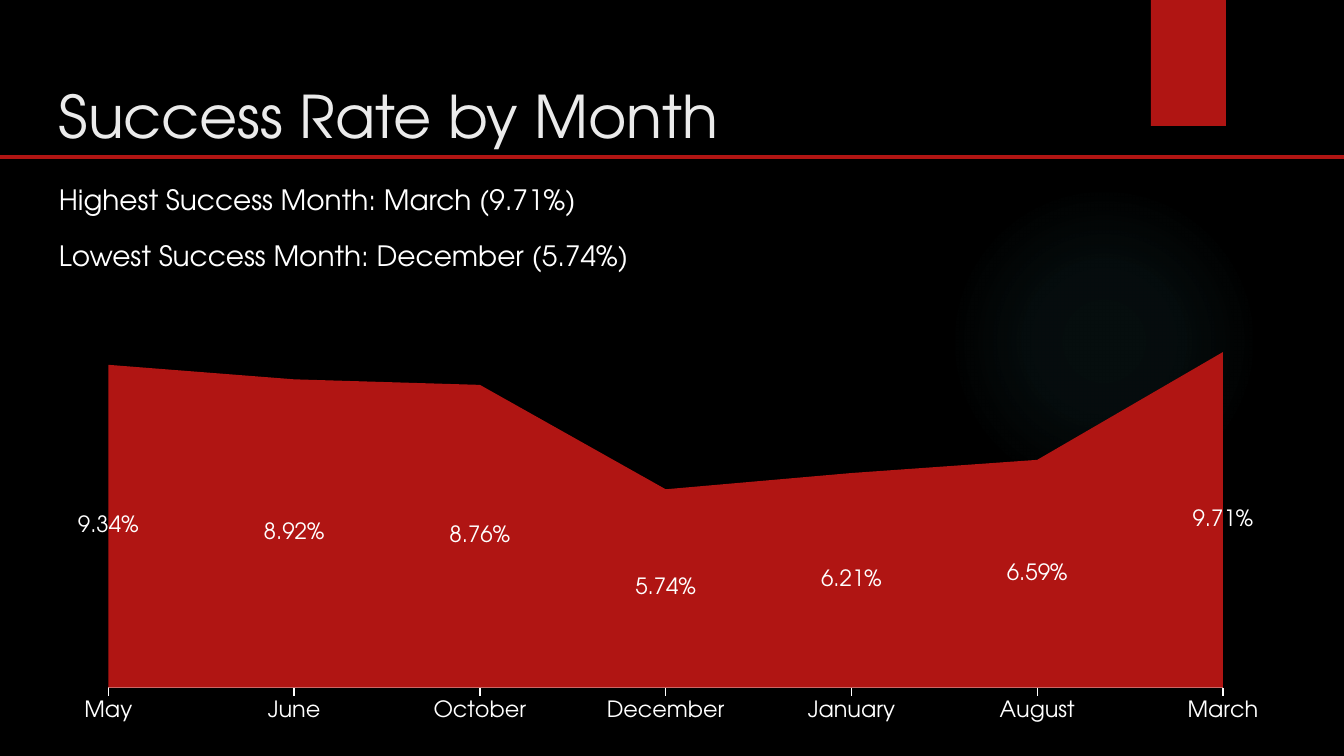
from dataclasses import dataclass

import pptx
import pptx.chart.data
import pptx.dml.color
import pptx.enum.chart
import pptx.enum.shapes
import pptx.enum.text
import pptx.oxml
import pptx.oxml.ns
import pptx.util

Pt = pptx.util.Pt
RGB = pptx.dml.color.RGBColor


@dataclass(frozen=True)
class Theme:
    font: str = "TeX Gyre Adventor"
    background: RGB = RGB(0x00, 0x00, 0x00)
    accent: RGB = RGB(0xB0, 0x15, 0x13)
    glow: RGB = RGB(0x50, 0xB9, 0xC1)
    title: RGB = RGB(0xEB, 0xEB, 0xEB)
    text: RGB = RGB(0xFF, 0xFF, 0xFF)
    title_size: float = 31.5
    body_size: float = 15
    label_size: float = 12
    chart_size: float = 10


@dataclass(frozen=True)
class Box:
    left: float
    top: float
    width: float
    height: float

    def lengths(self) -> tuple:
        return Pt(self.left), Pt(self.top), Pt(self.width), Pt(self.height)


@dataclass(frozen=True)
class MonthRate:
    month: str
    rate: float

    def __str__(self) -> str:
        return f"{self.month} ({self.rate:.2%})"


THEME = Theme()
SLIDE_WIDTH, SLIDE_HEIGHT = 720, 405
MARGIN = 24.5
CONTENT_WIDTH = SLIDE_WIDTH - 2 * MARGIN
TEXT_INSET = 7.2
RULE_TOP = 84.2
GLOW = Box(508.3, 99.4, 166.3, 166.3)
RIBBON = Box(616.5, 0, 40.3, 67.5)
TITLE = Box(MARGIN, 35.3, CONTENT_WIDTH, 45.4)
SUMMARY = Box(MARGIN, 90.7, 341.3, 72.7)
CHART = Box(MARGIN, 146.2, CONTENT_WIDTH, 247)
PLOT_SHARE = {"x": 0.05, "y": 0, "w": 0.89, "h": 0.9}
GLOW_STOPS = ((0, 7), (36, 6), (69, 0))  # position and opacity, in percent
RATES = (
    MonthRate("May", 0.0934),
    MonthRate("June", 0.0892),
    MonthRate("October", 0.0876),
    MonthRate("December", 0.0574),
    MonthRate("January", 0.0621),
    MonthRate("August", 0.0659),
    MonthRate("March", 0.0971),
)


def style_font(font, size: float, color: RGB) -> None:
    font.name = THEME.font
    font.size = Pt(size)
    font.color.rgb = color


def add_plain_shape(slide, kind, box: Box, color: RGB):
    shape = slide.shapes.add_shape(kind, *box.lengths())
    shape.shadow.inherit = False
    shape.fill.solid()
    shape.fill.fore_color.rgb = color
    shape.line.fill.background()
    return shape


def add_glow(slide) -> None:
    """Add a circle that fades from its centre to full transparency."""
    glow = add_plain_shape(slide, pptx.enum.shapes.MSO_SHAPE.OVAL, GLOW, THEME.glow)
    stops = "".join(
        f'<a:gs pos="{position * 1000}"><a:srgbClr val="{THEME.glow}">'
        f'<a:alpha val="{opacity * 1000}"/></a:srgbClr></a:gs>'
        for position, opacity in GLOW_STOPS
    )
    gradient = pptx.oxml.parse_xml(
        f'<a:gradFill {pptx.oxml.ns.nsdecls("a")}><a:gsLst>{stops}</a:gsLst>'
        '<a:path path="circle"><a:fillToRect l="50000" t="50000" r="50000" b="50000"/>'
        "</a:path></a:gradFill>"
    )
    properties = glow.element.spPr
    properties.replace(properties.find(pptx.oxml.ns.qn("a:solidFill")), gradient)


def add_text(slide, box: Box, lines: list[str], size: float, color: RGB) -> None:
    frame = slide.shapes.add_textbox(*box.lengths()).text_frame
    frame.word_wrap = True
    frame.vertical_anchor = pptx.enum.text.MSO_ANCHOR.TOP
    frame.margin_left = frame.margin_right = Pt(TEXT_INSET)
    frame.margin_top = frame.margin_bottom = Pt(TEXT_INSET)
    frame.text = "\n".join(lines)
    for index, paragraph in enumerate(frame.paragraphs):
        if index:
            paragraph.space_before = Pt(12)
        for run in paragraph.runs:
            style_font(run.font, size, color)


def add_rule(slide) -> None:
    rule = slide.shapes.add_connector(
        pptx.enum.shapes.MSO_CONNECTOR.STRAIGHT,
        Pt(0), Pt(RULE_TOP), Pt(SLIDE_WIDTH), Pt(RULE_TOP),
    )
    rule.line.color.rgb = THEME.accent
    rule.line.width = Pt(2.25)
    rule.element.spPr.append(
        pptx.oxml.parse_xml(f'<a:effectLst {pptx.oxml.ns.nsdecls("a")}/>')
    )


def fix_plot_area(chart) -> None:
    """Give the inner plot area its share of the chart, edge to edge."""
    plot_area = chart.element.find(".//" + pptx.oxml.ns.qn("c:plotArea"))
    for old_layout in plot_area.findall(pptx.oxml.ns.qn("c:layout")):
        plot_area.remove(old_layout)
    modes = "".join(f'<c:{side}Mode val="edge"/>' for side in "xy")
    shares = "".join(f'<c:{key} val="{share}"/>' for key, share in PLOT_SHARE.items())
    layout = pptx.oxml.parse_xml(
        f'<c:layout {pptx.oxml.ns.nsdecls("c")}><c:manualLayout>'
        f'<c:layoutTarget val="inner"/>{modes}{shares}</c:manualLayout></c:layout>'
    )
    plot_area.insert(0, layout)
    for crossing in plot_area.iter(pptx.oxml.ns.qn("c:crossBetween")):
        crossing.set("val", "midCat")


def add_rate_chart(slide) -> None:
    data = pptx.chart.data.CategoryChartData(number_format="0.00%")
    data.categories = [entry.month for entry in RATES]
    data.add_series("Series 1", [entry.rate for entry in RATES])
    chart = slide.shapes.add_chart(
        pptx.enum.chart.XL_CHART_TYPE.AREA_STACKED, *CHART.lengths(), data
    ).chart
    chart.has_legend = False
    chart.has_title = False
    style_font(chart.font, THEME.chart_size, THEME.text)

    months = chart.category_axis
    months.has_major_gridlines = False
    months.major_tick_mark = pptx.enum.chart.XL_TICK_MARK.OUTSIDE
    months.minor_tick_mark = pptx.enum.chart.XL_TICK_MARK.NONE
    months.format.line.color.rgb = THEME.text
    months.format.line.width = Pt(0.75)
    style_font(months.tick_labels.font, THEME.label_size, THEME.text)

    scale = chart.value_axis
    scale.minimum_scale, scale.maximum_scale = 0, 0.12
    scale.has_major_gridlines = False
    scale.visible = False

    plot = chart.plots[0]
    plot.vary_by_categories = False
    area = plot.series[0]
    area.format.fill.solid()
    area.format.fill.fore_color.rgb = THEME.accent
    area.format.line.fill.background()
    labels = area.data_labels
    labels.show_value = True
    labels.number_format = "0.00%"
    labels.number_format_is_linked = False
    style_font(labels.font, THEME.label_size, THEME.text)
    fix_plot_area(chart)


def main() -> None:
    deck = pptx.Presentation()
    deck.slide_width, deck.slide_height = Pt(SLIDE_WIDTH), Pt(SLIDE_HEIGHT)
    slide = deck.slides.add_slide(deck.slide_layouts[6])
    slide.background.fill.solid()
    slide.background.fill.fore_color.rgb = THEME.background

    highest = max(RATES, key=lambda entry: entry.rate)
    lowest = min(RATES, key=lambda entry: entry.rate)
    summary = [f"Highest Success Month: {highest}", f"Lowest Success Month: {lowest}"]

    add_glow(slide)
    add_plain_shape(slide, pptx.enum.shapes.MSO_SHAPE.RECTANGLE, RIBBON, THEME.accent)
    add_text(slide, TITLE, ["Success Rate by Month"], THEME.title_size, THEME.title)
    add_text(slide, SUMMARY, summary, THEME.body_size, THEME.text)
    add_rate_chart(slide)
    add_rule(slide)
    deck.save("out.pptx")


if __name__ == "__main__":
    main()
